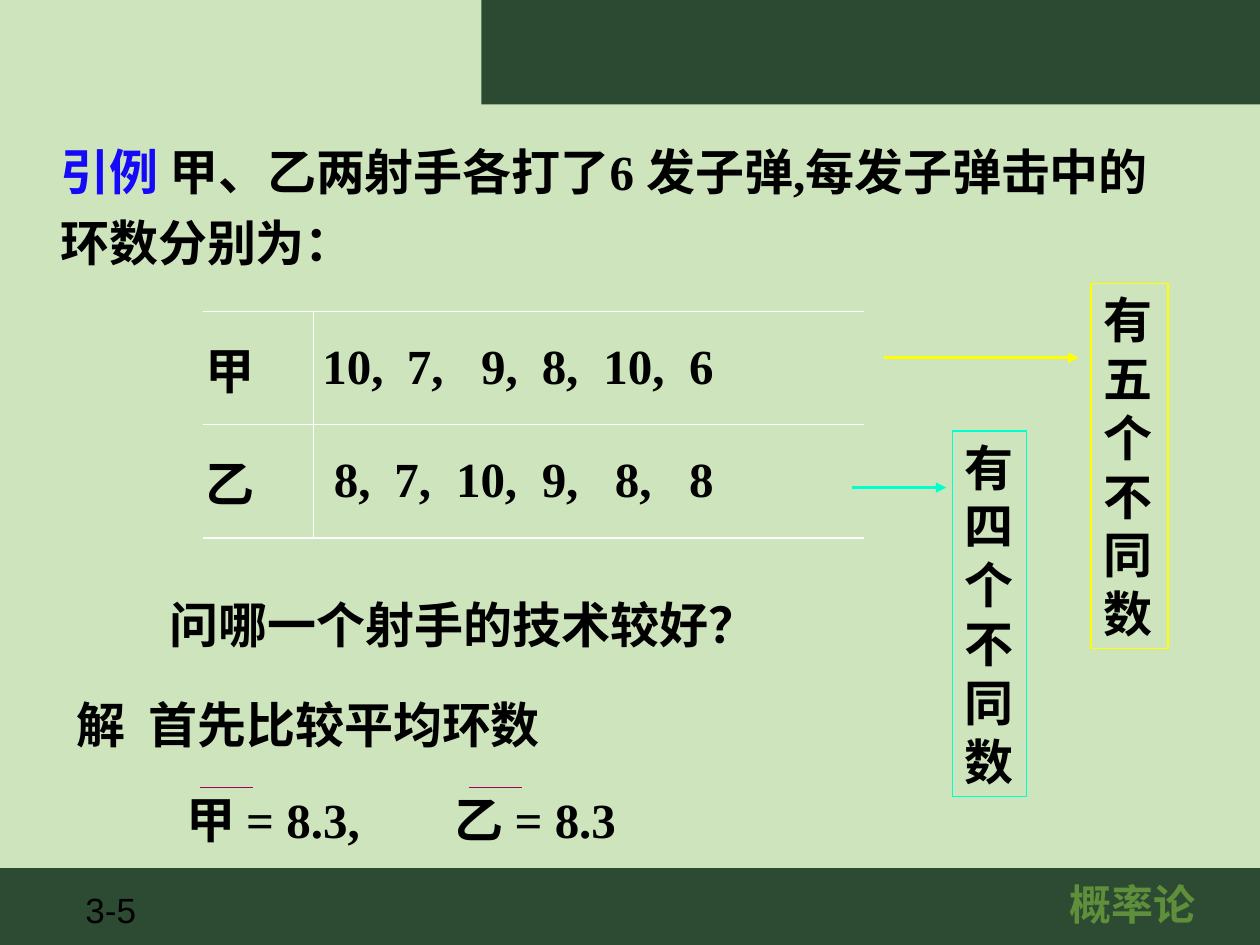
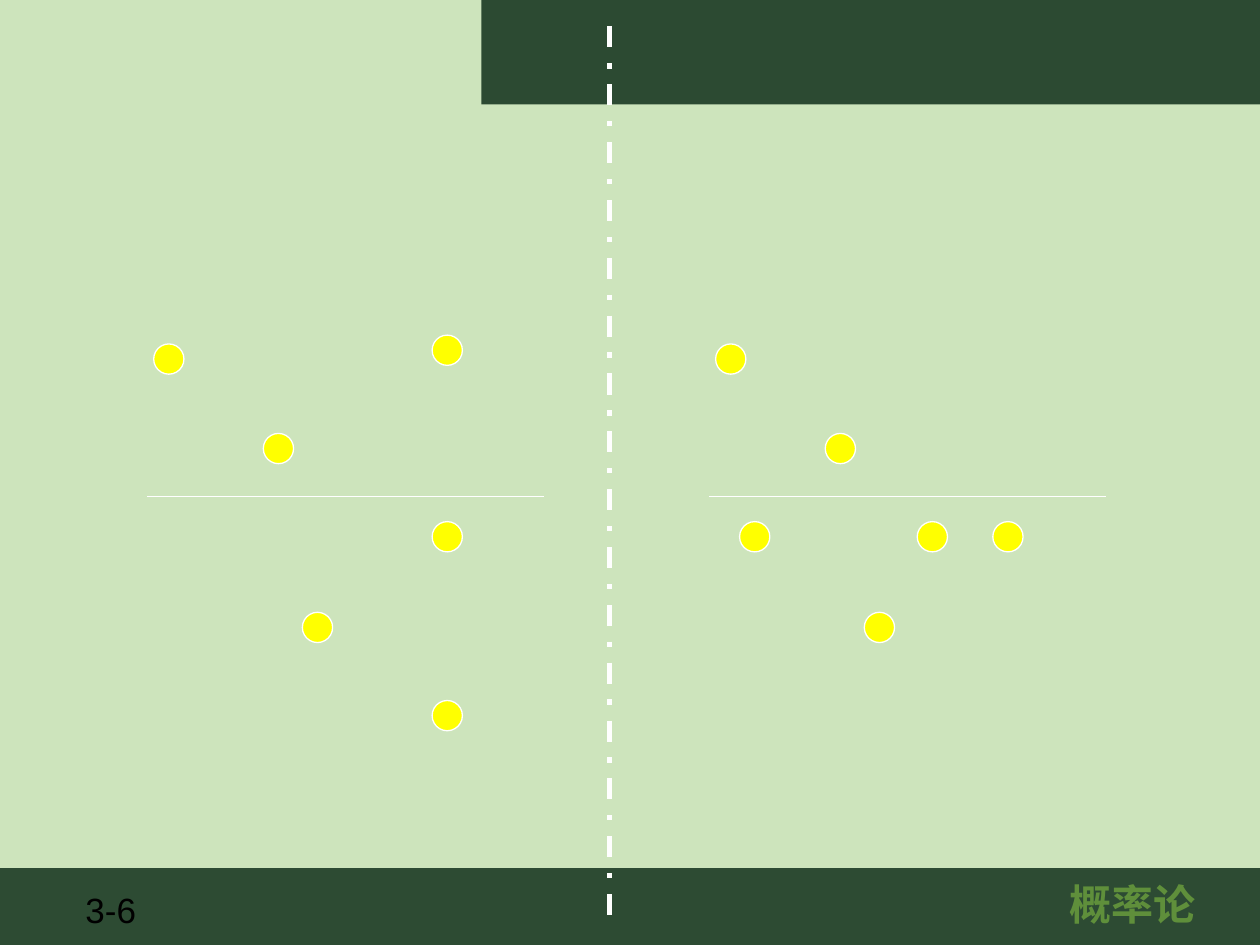
from lxml.etree import SubElement
from pptx import Presentation
from pptx.dml.color import RGBColor
from pptx.enum.dml import MSO_LINE
from pptx.enum.shapes import MSO_CONNECTOR, MSO_SHAPE
from pptx.enum.text import MSO_ANCHOR, PP_ALIGN
from pptx.oxml import parse_xml
from pptx.oxml.ns import nsdecls, qn
from pptx.util import Inches, Pt

COLORS = {
    "page": "CDE4BC", "footer": "2D4B33", "header": "2C4A32", "course": "5F8F3B",
    "text": "000000", "lead": "1409F9", "mean": "A1005D", "white": "FFFFFF",
    "yellow": "FFFF00", "aqua": "00FFCC",
}
BODY = {"name": "Times New Roman", "size": Pt(28), "bold": True}
NUMBER = {"name": "Arial", "size": Pt(20), "bold": False}
COURSE = {"name": "Arial", "size": Pt(24), "bold": True}

# Each score with its distance from the left edge of its cell
SCORES = {
    "甲": [(10, 0.07), (7, 0.74), (9, 1.33), (8, 1.81), (10, 2.30), (6, 2.98)],
    "乙": [(8, 0.16), (7, 0.64), (10, 1.13), (9, 1.81), (8, 2.39), (8, 2.98)],
}
# Hits as left and top, measured from the left end of the panel's line
HITS_FIRST = [(2.26, 1.62), (1.23, 0.92), (2.26, 0.20),
              (0.92, -0.50), (2.26, -1.28), (0.05, -1.21)]
HITS_SECOND = [(1.23, 0.92), (2.25, 0.20), (0.92, -0.50),
               (0.05, -1.21), (1.65, 0.20), (0.24, 0.20)]


def rgb(color):
    return RGBColor.from_string(COLORS[color])


def add_span(para, text, style, color="text"):
    span = para.add_run()
    span.text = text
    for name, value in style.items():
        setattr(span.font, name, value)
    span.font.color.rgb = rgb(color)


def add_tabs(para, stops):
    tabs = SubElement(para._p.get_or_add_pPr(), qn("a:tabLst"))
    for stop in stops:
        SubElement(tabs, qn("a:tab"), pos=str(Inches(stop)), algn="l")


def add_text(page, box, spans, style=BODY, wrap=False, tabs=(), **layout):
    """Add a one-paragraph text box; spans are (text, colour) pairs."""
    frame = page.shapes.add_textbox(*map(Inches, box)).text_frame
    frame.word_wrap = wrap
    para = frame.paragraphs[0]
    if tabs:
        add_tabs(para, tabs)
    for name, value in layout.items():
        setattr(para, name, value)
    for text, color in spans:
        add_span(para, text, style, color)


def add_figure(page, kind, box, fill=None, line=None):
    figure = page.shapes.add_shape(kind, *map(Inches, box))
    figure.shadow.inherit = False
    if fill:
        figure.fill.solid()
        figure.fill.fore_color.rgb = rgb(fill)
    else:
        figure.fill.background()
    if line:
        figure.line.color.rgb = rgb(line)
        figure.line.width = Pt(0.75)
    else:
        figure.line.fill.background()
    return figure


def add_line(page, start, end, color, width=0.75, arrow=False, dash=None):
    line = page.shapes.add_connector(
        MSO_CONNECTOR.STRAIGHT, *map(Inches, (*start, *end)))
    line.line.color.rgb = rgb(color)
    line.line.width = Pt(width)
    if dash:
        line.line.dash_style = dash
    if arrow:
        SubElement(line.line._get_or_add_ln(), qn("a:tailEnd"), type="triangle")
    SubElement(line._element.spPr, qn("a:effectLst"))


def add_page(deck, number):
    """Add a page with the shared background, bands and footer texts."""
    page = deck.slides.add_slide(deck.slide_layouts[6])
    page.background.fill.solid()
    page.background.fill.fore_color.rgb = rgb("page")
    add_figure(page, MSO_SHAPE.RECTANGLE, (0, 6.89, 10, 0.61), "footer")
    add_text(page, (0.58, 7, 0.78, 0.43), [(number, "text")], NUMBER, wrap=True)
    add_text(page, (7.44, 6.92, 3.09, 0.5), [("概率论", "course")], COURSE,
             wrap=True, alignment=PP_ALIGN.CENTER)
    add_figure(page, MSO_SHAPE.RECTANGLE, (3.82, 0, 6.18, 0.83), "header")
    return page


def set_borders(cell, visible):
    properties = cell._tc.get_or_add_tcPr()
    for index, side in enumerate("LRTB"):
        fill = (f'<a:solidFill><a:srgbClr val="{COLORS["white"]}"/></a:solidFill>'
                if side in visible else "<a:noFill/>")
        properties.insert(index, parse_xml(
            f'<a:ln{side} {nsdecls("a")} w="{Pt(0.75)}">{fill}</a:ln{side}>'))


def add_score_table(page, box):
    table = page.shapes.add_table(len(SCORES), 2, *map(Inches, box)).table
    table.first_row = table.horz_banding = False
    label_width = 0.88
    table.columns[0].width = Inches(label_width)
    table.columns[1].width = Inches(box[2] - label_width)
    for row, (shooter, scores) in enumerate(SCORES.items()):
        indent = scores[0][1]
        texts = [shooter, ",\t".join(str(score) for score, _ in scores)]
        for column, (text, margin) in enumerate(zip(texts, (0.02, indent))):
            cell = table.cell(row, column)
            cell.fill.background()
            set_borders(cell, "RTB" if column == 0 else "LTB")
            cell.vertical_anchor = MSO_ANCHOR.MIDDLE
            cell.margin_left, cell.margin_right = Inches(margin), 0
            para = cell.text_frame.paragraphs[0]
            if column == 1:
                add_tabs(para, [stop - indent for _, stop in scores[1:]])
            add_span(para, text, BODY)


def add_remark(page, box, lines, color, arrow_start, arrow_length):
    """Add a narrow framed remark and the arrow that leads to it."""
    frame = add_figure(page, MSO_SHAPE.RECTANGLE, box, line=color).text_frame
    frame.word_wrap = True
    frame.vertical_anchor = MSO_ANCHOR.TOP
    for index, text in enumerate(lines):
        para = frame.add_paragraph() if index else frame.paragraphs[0]
        para.alignment = PP_ALIGN.LEFT
        add_span(para, text, BODY)
    left, top = arrow_start
    add_line(page, arrow_start, (left + arrow_length, top), color, 1.5, arrow=True)


def add_mean(page, box, text):
    """Add an average with a bar over the shooter's name."""
    left, top = box[:2]
    add_text(page, box, [(text, "text")])
    add_line(page, (left + 0.21, top + 0.03), (left + 0.63, top + 0.03), "mean", 1)


def add_hit_panel(page, left, top, hits):
    add_line(page, (left, top), (left + 3.15, top), "white")
    for across, down in hits:
        add_figure(page, MSO_SHAPE.OVAL, (left + across, top + down, 0.24, 0.24),
                   "yellow", "white")


def build_example(deck):
    page = add_page(deck, "3-5")
    add_text(page, (0.38, 0.98, 9.02, 1.22),
             [("引例 ", "lead"),
              ("甲、乙两射手各打了6 发子弹,每发子弹击中的环数分别为：", "text")],
             wrap=True, line_spacing=1.2)
    add_score_table(page, (1.61, 2.47, 5.25, 1.8))
    add_text(page, (1.25, 4.67, 4.86, 0.57), [("问哪一个射手的技术较好？", "text")])
    add_text(page, (0.51, 5.46, 4.08, 0.57), [("解\t首先比较平均环数", "text")],
             tabs=[0.57])
    add_mean(page, (1.38, 6.22, 1.77, 0.57), "甲 = 8.3,")
    add_mean(page, (3.51, 6.22, 1.68, 0.57), "乙 = 8.3")
    add_remark(page, (8.66, 2.25, 0.61, 2.9), ["有五个不同数"], "yellow",
               (7.02, 2.84), 1.54)
    add_remark(page, (7.56, 3.42, 0.59, 2.9), "有四个不同数", "aqua",
               (6.76, 3.87), 0.75)


def build_hits(deck):
    page = add_page(deck, "3-6")
    add_hit_panel(page, 1.17, 3.94, HITS_FIRST)
    add_hit_panel(page, 5.63, 3.94, HITS_SECOND)
    add_line(page, (4.84, 0.21), (4.84, 7.26), "white", 3, dash=MSO_LINE.DASH_DOT)


def main():
    deck = Presentation()
    deck.slide_width, deck.slide_height = Inches(10), Inches(7.5)
    build_example(deck)
    build_hits(deck)
    deck.save("out.pptx")


if __name__ == "__main__":
    main()
